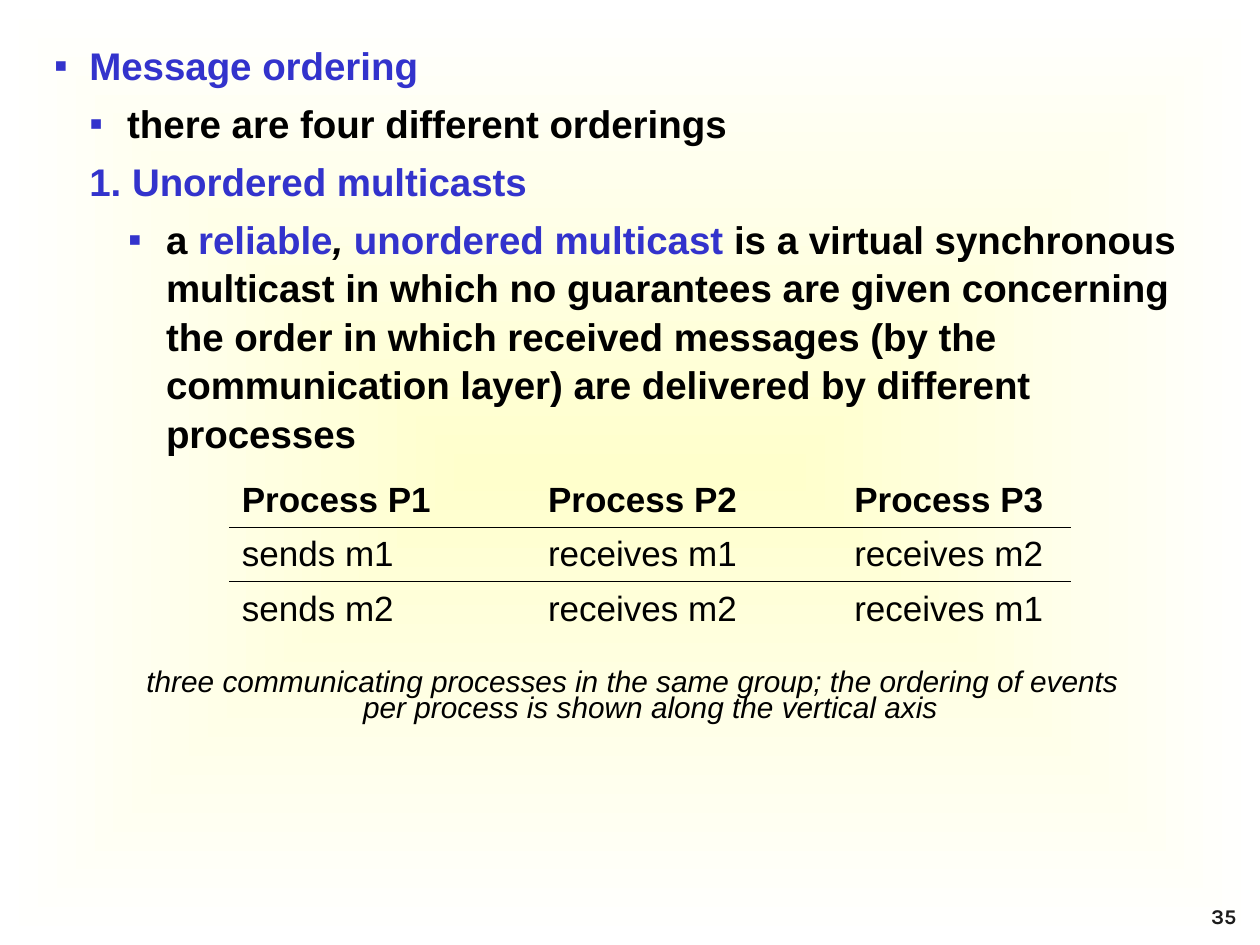
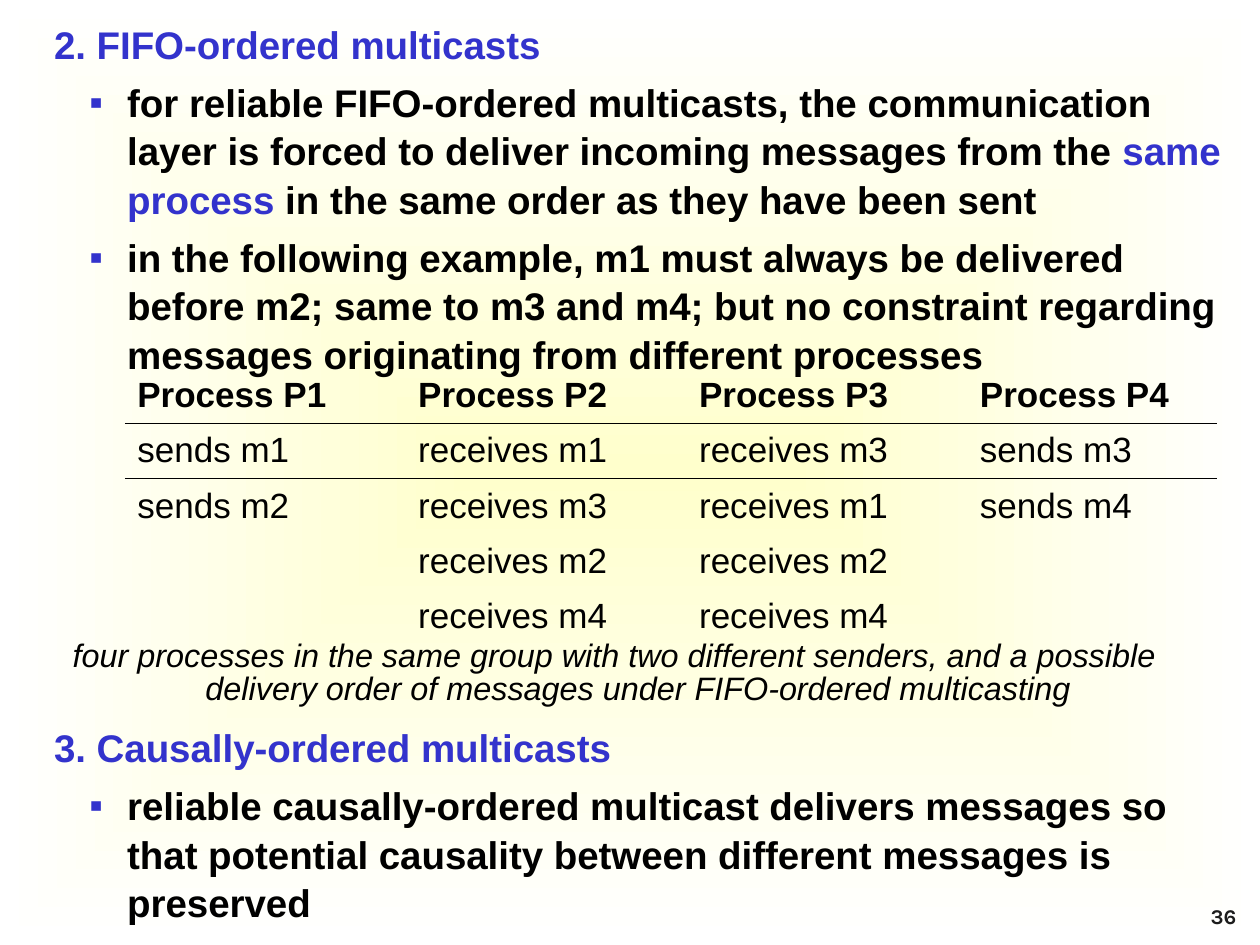
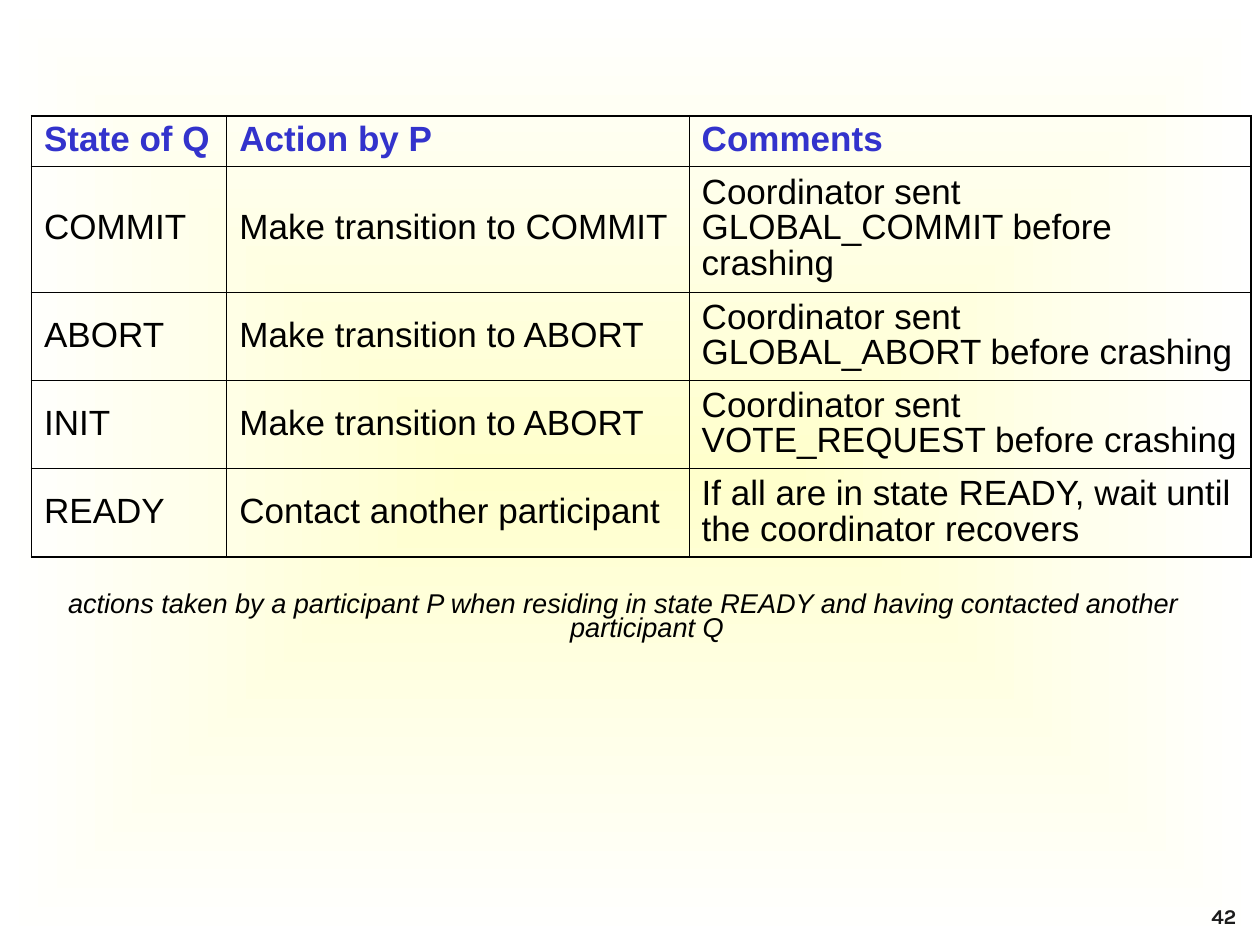
"""Build three slides on the ordering of multicast messages and on commit states."""
from lxml.etree import SubElement
from pptx import Presentation
from pptx.dml.color import RGBColor
from pptx.enum.text import MSO_ANCHOR, PP_ALIGN
from pptx.oxml.ns import qn
from pptx.util import Pt

INK = {"blue": "3333CC", "black": "000000", "page": "1C1C1C", "glow": "FFFFCC", "white": "FFFFFF"}
PLAIN_GRID = "{2D5ABB26-0587-4C30-8999-92F81FD0307C}"
INDENT = [(20.2, 20.2), (41.8, 21.6), (64, 21.6)]
THIN, THICK = 0.45, 1.08


def put(para, text, size=22, ink="black", bold=False, slant=False, face="Arial"):
    run = para.add_run()
    run.text = text
    font = run.font
    font.name, font.size, font.bold, font.italic = face, Pt(size), bold, slant
    font.color.rgb = RGBColor.from_string(INK[ink])


def hang(para, left, back):
    prop = para._p.get_or_add_pPr()
    prop.set("marL", str(Pt(left)))
    prop.set("indent", str(-Pt(back)))
    return prop


def mark(prop):
    tint = SubElement(prop, qn("a:buClr"))
    SubElement(tint, qn("a:srgbClr")).set("val", INK["blue"])
    SubElement(prop, qn("a:buFont")).set("typeface", "Arial")
    SubElement(prop, qn("a:buChar")).set("char", "▪")


def edge(cell, side, width):
    line = SubElement(cell._tc.get_or_add_tcPr(), qn("a:ln" + side))
    line.set("w", str(Pt(width)))
    fill = SubElement(line, qn("a:solidFill"))
    SubElement(fill, qn("a:srgbClr")).set("val", INK["black"])


class Deck:
    def __init__(self):
        self.show = Presentation()
        self.show.slide_width, self.show.slide_height = Pt(720), Pt(540)
        self.slide = None
        self.glow()

    def glow(self):
        root = self.show.slide_master
        fill = root.background.fill
        fill.gradient()
        for stop, spot, ink in zip(fill.gradient_stops, (0, 1), ("glow", "white")):
            stop.position = spot
            stop.color.rgb = RGBColor.from_string(INK[ink])
        grad = root.element.find(".//" + qn("a:gradFill"))
        grad.remove(grad.find(qn("a:lin")))
        way = SubElement(grad, qn("a:path"))
        way.set("path", "rect")
        rect = SubElement(way, qn("a:fillToRect"))
        for side in "ltrb":
            rect.set(side, "50000")

    def page(self, number):
        self.slide = self.show.slides.add_slide(self.show.slide_layouts[6])
        frame = self.box(671.8, 522, 41.8, 12.2)
        frame.vertical_anchor = MSO_ANCHOR.BOTTOM
        para = frame.paragraphs[0]
        para.alignment = PP_ALIGN.RIGHT
        put(para, str(number), size=12, ink="page", bold=True, face="Karla")

    def box(self, *place):
        frame = self.slide.shapes.add_textbox(*map(Pt, place)).text_frame
        frame.word_wrap = True
        return frame

    def points(self, top, height, items):
        frame = self.box(23.8, top, 684, height)
        for count, (level, dot, *runs) in enumerate(items):
            para = frame.add_paragraph() if count else frame.paragraphs[0]
            para.line_spacing = 1.05
            para.space_before = Pt(5.5 if count else 0)
            prop = hang(para, *INDENT[level])
            if dot:
                mark(prop)
            for text, *style in runs:
                put(para, text, bold=True, ink="blue" if "blue" in style else "black",
                    slant="slant" in style)

    def caption(self, place, text, size, pitch, left):
        para = self.box(*place).paragraphs[0]
        para.alignment, para.line_spacing = PP_ALIGN.CENTER, pitch
        hang(para, left, left)
        put(para, text, size=size, slant=True)

    def table(self, left, top, widths, heights, rows, boxed=False):
        size = len(rows), len(widths)
        grid = self.slide.shapes.add_table(
            *size, Pt(left), Pt(top), Pt(sum(widths)), Pt(sum(heights))).table
        grid.first_row = grid.horz_banding = False
        grid._tbl.tblPr.find(qn("a:tableStyleId")).text = PLAIN_GRID
        for col, width in zip(grid.columns, widths):
            col.width = Pt(width)
        for row, height in zip(grid.rows, heights):
            row.height = Pt(height)
        for down, words in enumerate(rows):
            for over, text in enumerate(words):
                cell = grid.cell(down, over)
                self.frame(cell, down, over, size, boxed)
                cell.fill.background()
                cell.vertical_anchor = MSO_ANCHOR.MIDDLE
                if text:
                    para = cell.text_frame.paragraphs[0]
                    para.line_spacing = 0.9 if boxed else 1.0
                    put(para, text, size=20, bold=down == 0,
                        ink="blue" if boxed and down == 0 else "black")

    def frame(self, cell, down, over, size, boxed):
        if boxed:
            rim = {"L": over == 0, "R": over == size[1] - 1,
                   "T": down == 0, "B": down == size[0] - 1}
            for side, outer in rim.items():
                edge(cell, side, THICK if outer else THIN)
        elif down < 2:
            edge(cell, "T" if down else "B", THIN)


def main():
    deck = Deck()

    deck.page(35)
    deck.points(19, 246, [
        (0, True, ("Message ordering", "blue")),
        (1, True, ("there are four different orderings",)),
        (1, False, ("1. Unordered multicasts", "blue")),
        (2, True, ("a ",), ("reliable", "blue"), (", ", "slant"), ("unordered multicast", "blue"),
         (" is a virtual synchronous multicast in which no guarantees are given concerning the "
          "order in which received messages (by the communication layer) are delivered by "
          "different processes",)),
    ])
    deck.caption((64, 380.2, 595.4, 36.7),
                 "three communicating processes in the same group; the ordering of events per "
                 "process is shown along the vertical axis", 17, 0.73, 20.2)
    deck.table(131, 270, [175, 175, 131], [31.2] * 3, [
        ("Process P1", "Process P2", "Process P3"),
        ("sends m1", "receives m1", "receives m2"),
        ("sends m2", "receives m2", "receives m1"),
    ])

    deck.page(36)
    deck.caption((5.8, 362.9, 689.8, 44.6),
                 "four processes in the same group with two different senders, and a possible "
                 "delivery order of messages under FIFO-ordered multicasting", 18.5, 0.84, 27.4)
    deck.table(71.3, 210.2, [160.5, 160.5, 160.5, 142.6], [31.6] * 5, [
        ("Process P1", "Process P2", "Process P3", "Process P4"),
        ("sends m1", "receives m1", "receives m3", "sends m3"),
        ("sends m2", "receives m3", "receives m1", "sends m4"),
        ("", "receives m2", "receives m2", ""),
        ("", "receives m4", "receives m4", ""),
    ])
    deck.points(7, 198, [
        (0, False, ("2. FIFO-ordered multicasts", "blue")),
        (1, True, ("for reliable FIFO-ordered multicasts, the communication layer is forced to "
                   "deliver incoming messages from the ",), ("same process", "blue"),
         (" in the same order as they have been sent",)),
        (1, True, ("in the following example, m1 must always be delivered before m2; same to m3 "
                   "and m4; but no constraint regarding messages originating from different "
                   "processes",)),
    ])
    deck.points(409, 102, [
        (0, False, ("3. Causally-ordered multicasts", "blue")),
        (1, True, ("reliable causally-ordered multicast delivers messages so that potential "
                   "causality between different messages is preserved",)),
    ])

    deck.page(42)
    deck.caption((15.8, 336.2, 680.4, 36),
                 "actions taken by a participant P when residing in state READY and having "
                 "contacted another participant Q", 15.5, 0.73, 27.4)
    deck.table(18, 66.2, [111.6, 264.2, 321.1], [28.8, 72, 50.4, 50.4, 50.4], [
        ("State of Q", "Action by P", "Comments"),
        ("COMMIT", "Make transition to COMMIT", "Coordinator sent GLOBAL_COMMIT before crashing"),
        ("ABORT", "Make transition to ABORT", "Coordinator sent GLOBAL_ABORT before crashing"),
        ("INIT", "Make transition to ABORT", "Coordinator sent VOTE_REQUEST before crashing"),
        ("READY", "Contact another participant",
         "If all are in state READY, wait until the coordinator recovers"),
    ], boxed=True)

    deck.show.save("out.pptx")


if __name__ == "__main__":
    main()
